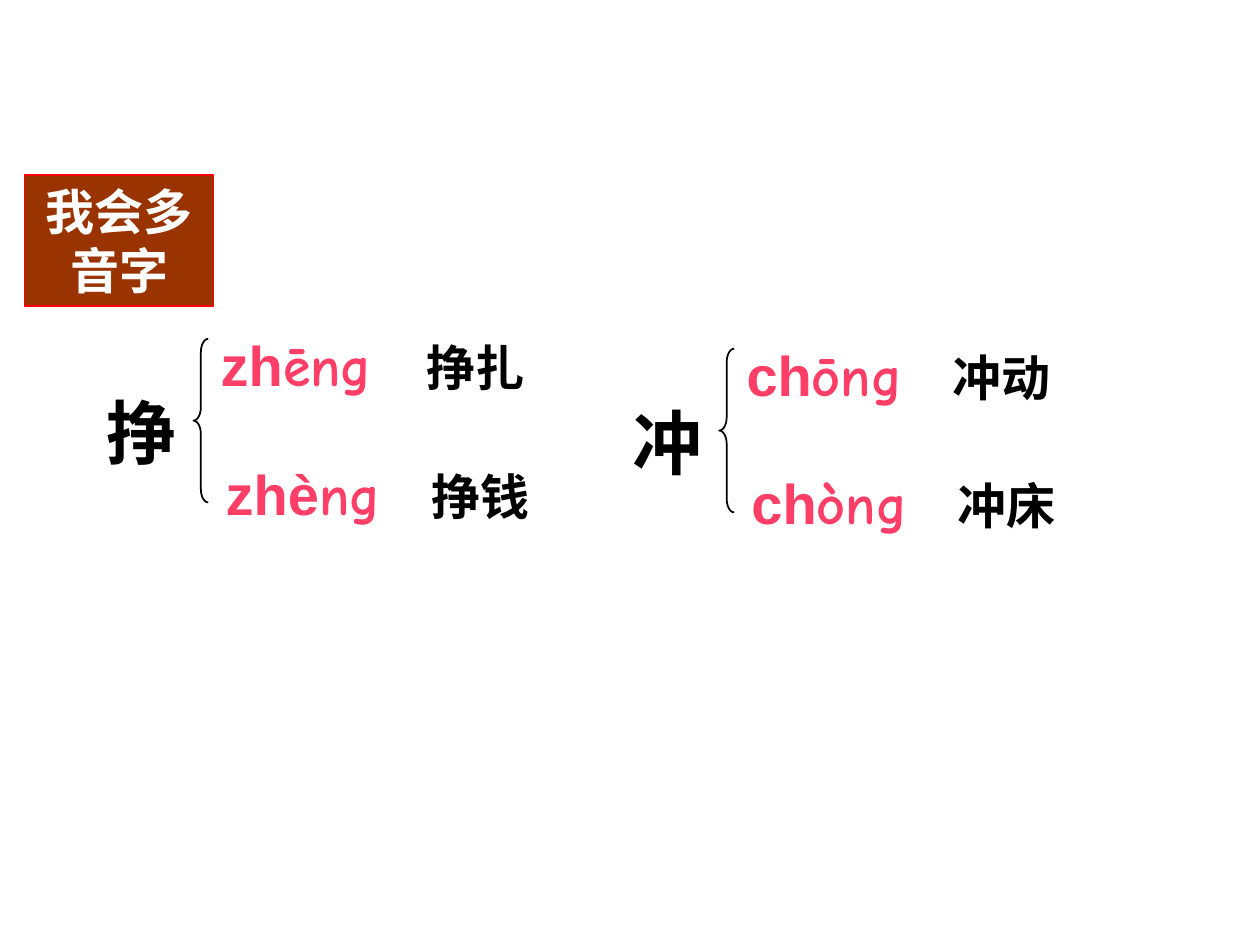
import pptx
import pptx.dml.color
import pptx.enum.shapes
import pptx.enum.text
import pptx.oxml.ns
import pptx.util
from lxml import etree

Cm = pptx.util.Cm
LATIN = "Arial"
ROUNDED = "Comic Neue"
PINK = "FD3F68"
BLACK = "000000"


def color(value):
    return pptx.dml.color.RGBColor.from_string(value)


def add_span(para, text, size, font, value):
    span = para.add_run()
    span.text = text
    span.font.size = pptx.util.Pt(size)
    span.font.name = font
    span.font.bold = True
    span.font.color.rgb = color(value)


def add_tab_stop(para, position):
    properties = para._p.get_or_add_pPr()
    stops = etree.SubElement(properties, pptx.oxml.ns.qn("a:tabLst"))
    etree.SubElement(stops, pptx.oxml.ns.qn("a:tab"), pos=str(position), algn="l")


def add_text_box(page, left, top, width, height):
    box = page.shapes.add_textbox(Cm(left), Cm(top), Cm(width), Cm(height))
    box.text_frame.word_wrap = True
    return box.text_frame.paragraphs[0]


def place_heading(page, left, top, width, height):
    box = page.shapes.title
    box.left, box.top, box.width, box.height = Cm(left), Cm(top), Cm(width), Cm(height)
    box.fill.solid()
    box.fill.fore_color.rgb = color("993300")
    box.line.color.rgb = color("FF0000")
    box.line.width = pptx.util.Pt(0.75)
    frame = box.text_frame
    frame.auto_size = pptx.enum.text.MSO_AUTO_SIZE.NONE
    frame.vertical_anchor = pptx.enum.text.MSO_ANCHOR.TOP
    para = frame.paragraphs[0]
    para.alignment = pptx.enum.text.PP_ALIGN.CENTER
    add_span(para, "我会多音字", 28, ROUNDED, "FFFFFF")


def add_brace(page, left, top, width, height):
    brace = page.shapes.add_shape(
        pptx.enum.shapes.MSO_SHAPE.LEFT_BRACE, Cm(left), Cm(top), Cm(width), Cm(height)
    )
    brace.shadow.inherit = False
    brace.adjustments[0] = 0.9
    brace.fill.background()
    brace.line.color.rgb = color(BLACK)
    brace.line.width = pptx.util.Pt(1)


def add_reading(page, left, top, start, ending, word):
    para = add_text_box(page, left, top, 8.4, 1.62)
    add_tab_stop(para, Cm(4.15))
    add_span(para, start, 32, LATIN, PINK)
    add_span(para, ending, 32, ROUNDED, PINK)
    add_span(para, "\t" + word, 28, LATIN, BLACK)


def add_character_group(page, left, top, character, readings):
    para = add_text_box(page, left, top + 1.19, 2.7, 1.96)
    para.alignment = pptx.enum.text.PP_ALIGN.CENTER
    add_span(para, character, 40, LATIN, BLACK)
    add_brace(page, left + 2.4, top + 0.3, 0.3, 3.3)
    for row, reading in enumerate(readings):
        add_reading(page, left + 2.7 + 0.1 * row, top + 2.6 * row, *reading)


def main():
    deck = pptx.Presentation()
    deck.slide_width, deck.slide_height = Cm(25.4), Cm(19.05)
    page = deck.slides.add_slide(deck.slide_layouts[5])
    place_heading(page, 0.5, 3.53, 3.81, 2.64)
    add_character_group(
        page, 1.5, 6.53, "挣", [("zh", "ēng", "挣扎"), ("zhè", "ng", "挣钱")]
    )
    add_character_group(
        page, 12.1, 6.73, "冲", [("ch", "ōng", "冲动"), ("ch", "òng", "冲床")]
    )
    deck.save("out.pptx")


if __name__ == "__main__":
    main()
